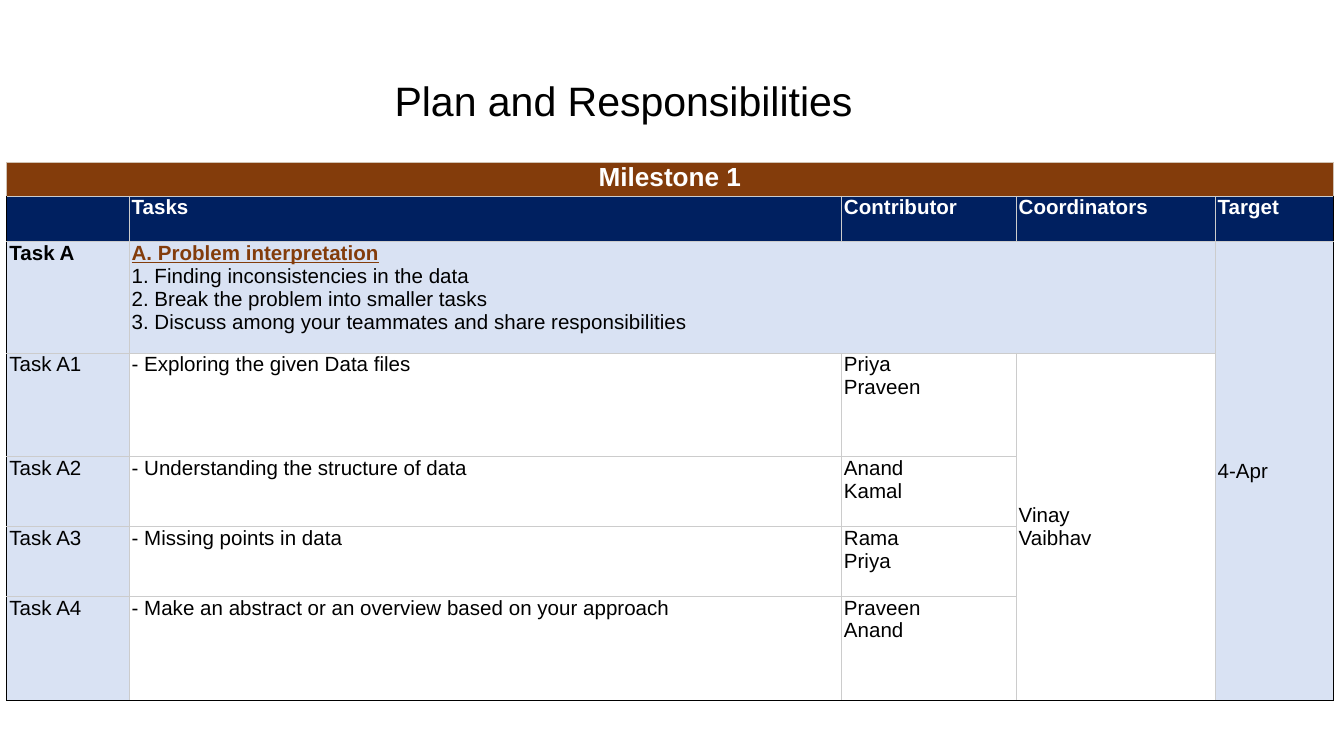
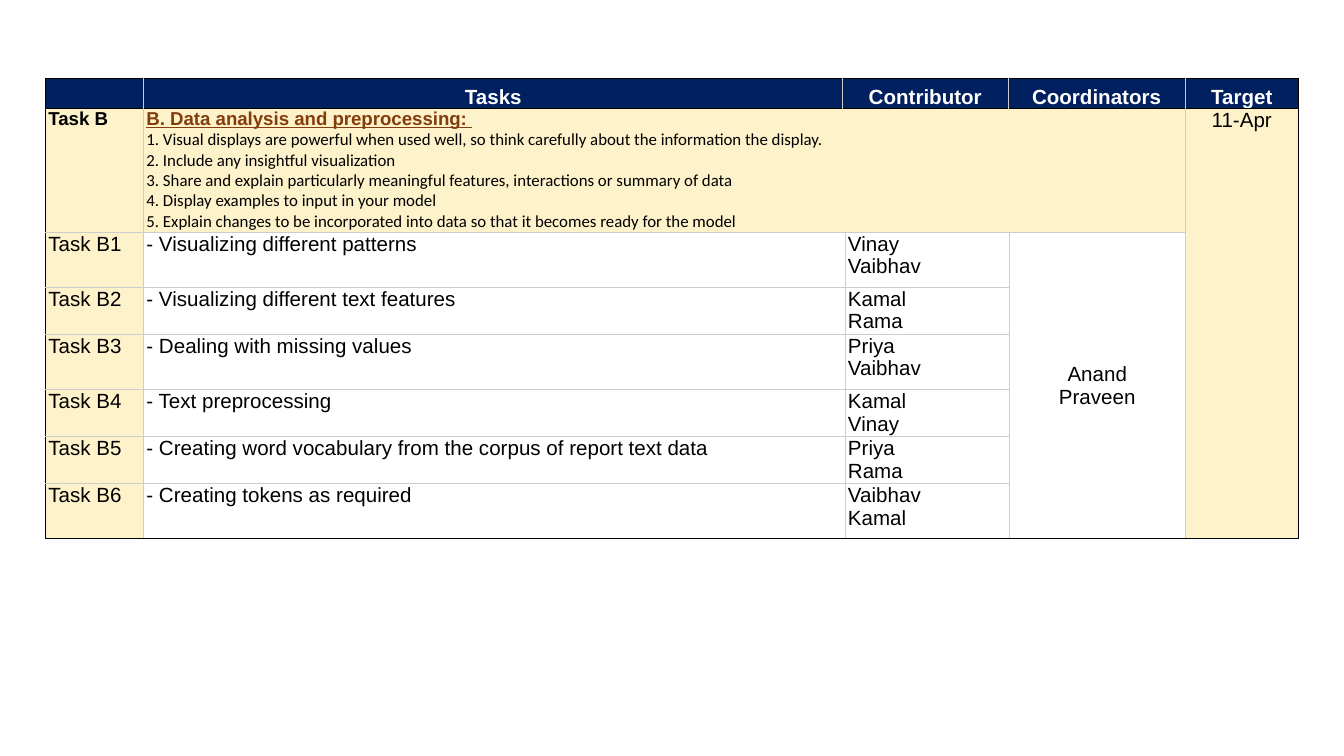
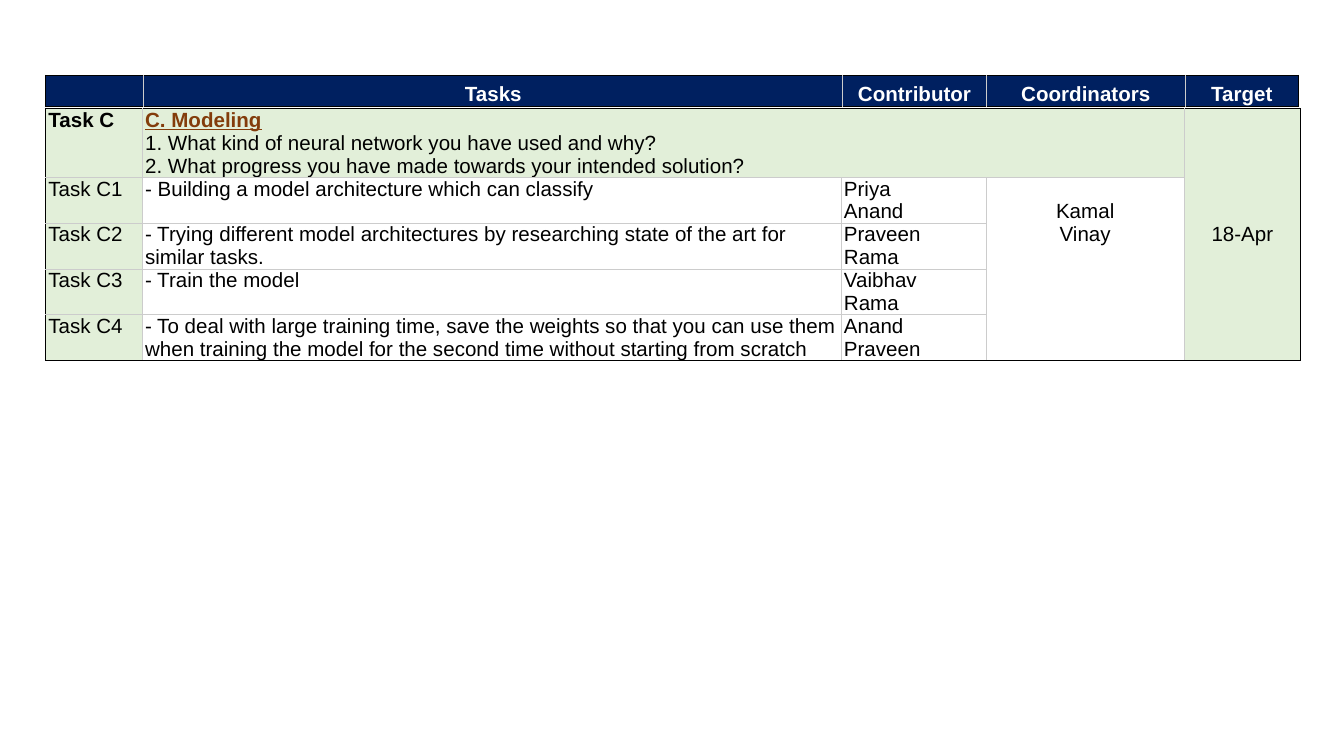
from copy import deepcopy

from lxml.etree import SubElement
from pptx import Presentation
from pptx.dml.color import RGBColor
from pptx.enum.text import MSO_ANCHOR, PP_ALIGN
from pptx.oxml.ns import qn
from pptx.util import Pt

PX = 9144  # 100 px to the inch
COLORS = {
    "black": "000000", "white": "FFFFFF", "grid": "CCCCCC", "tan": "D0C2B3",
    "brown": "833C0B", "navy": "002060",
    "blue": "D9E2F3", "yellow": "FEF2CB", "green": "E2EFD9",
}
HEADERS = ["", "Tasks", "Contributor", "Coordinators", "Target"]
LEFT, CENTER = PP_ALIGN.LEFT, PP_ALIGN.CENTER
TOP, MIDDLE, BOTTOM = MSO_ANCHOR.TOP, MSO_ANCHOR.MIDDLE, MSO_ANCHOR.BOTTOM

MILESTONES = [
    {
        "title": "Plan and Responsibilities", "banner": "Milestone 1",
        "left": 5, "top": 121, "columns": [91, 530, 130, 148, 88],
        "rows": [25, 34, 83, 77, 52, 52, 77],
        "letter": "A", "fill": "blue", "heading": "A. Problem interpretation",
        "points": [
            "1. Finding inconsistencies in the data",
            "2. Break the problem into smaller tasks",
            "3. Discuss among your teammates and share responsibilities",
        ],
        "heading_size": 11, "point_font": ("Arial", 11),
        "tasks": [
            ("- Exploring the given Data files", "Priya\nPraveen"),
            ("- Understanding the structure of data", "Anand\nKamal"),
            ("- Missing points in data", "Rama\nPriya"),
            ("- Make an abstract or an overview based on your approach", "Praveen\nAnand"),
        ],
        "coordinators": "Vinay\nVaibhav", "coordinator_anchor": MIDDLE,
        "target": "4-Apr", "target_anchor": MIDDLE, "alignment": LEFT,
    },
    {
        "left": 34, "top": 81, "columns": [73, 522, 122, 131, 84],
        "rows": [92, 41, 35, 41, 35, 35, 41],
        "header_top": 58, "header_columns": [73, 520, 123, 132, 84],
        "letter": "B", "fill": "yellow", "heading": "B. Data analysis and preprocessing: ",
        "points": [
            "1. Visual displays are powerful when used well, so think carefully about the information the display.",
            "2. Include any insightful visualization",
            "3. Share and explain particularly meaningful features, interactions or summary of data",
            "4. Display examples to input in your model",
            "5. Explain changes to be incorporated into data so that it becomes ready for the model",
        ],
        "heading_size": 10, "point_font": ("Calibri", 9),
        "tasks": [
            ("- Visualizing different patterns", "Vinay\nVaibhav"),
            ("- Visualizing different text features", "Kamal\nRama"),
            ("- Dealing with missing values", "Priya\nVaibhav"),
            ("- Text preprocessing", "Kamal\nVinay"),
            ("- Creating word vocabulary from the corpus of report text data", "Priya\nRama"),
            ("- Creating tokens as required", "Vaibhav\nKamal"),
        ],
        "coordinators": "Anand\nPraveen", "coordinator_anchor": MIDDLE,
        "target": "11-Apr", "target_anchor": TOP, "alignment": CENTER,
    },
    {
        "left": 34, "top": 81, "columns": [72, 520, 108, 147, 87],
        "rows": [51, 34, 34, 34, 34],
        "header_top": 56, "header_columns": [73, 520, 107, 148, 84],
        "letter": "C", "fill": "green", "heading": "C. Modeling",
        "points": [
            "1. What kind of neural network you have used and why?",
            "2. What progress you have made towards your intended solution?",
        ],
        "heading_size": 11, "point_font": ("Arial", 11),
        "tasks": [
            ("- Building a model architecture which can classify", "Priya\nAnand"),
            ("- Trying different model architectures by researching state of the art for "
             "similar tasks.", "Praveen\nRama"),
            ("- Train the model", "Vaibhav\nRama"),
            ("- To deal with large training time, save the weights so that you can use them "
             "when training the model for the second time without starting from scratch",
             "Anand\nPraveen"),
        ],
        "coordinators": "Kamal\nVinay", "coordinator_anchor": TOP, "coordinator_margin": 17,
        "target": "18-Apr", "target_anchor": MIDDLE, "alignment": CENTER,
    },
]


def add_grid(slide, left, top, columns, rows, merges=(), first_edge="black"):
    """Add an unstyled table with grey inner lines and a dark outer edge."""
    table = slide.shapes.add_table(
        len(rows), len(columns), left * PX, top * PX, sum(columns) * PX, sum(rows) * PX
    ).table
    table.first_row = table.horz_banding = False
    for column, width in zip(table.columns, columns):
        column.width = width * PX
    for row, height in zip(table.rows, rows):
        row.height = height * PX
    for first, last in merges:
        table.cell(*first).merge(table.cell(*last))

    for row in range(len(rows)):
        for column in range(len(columns)):
            cell = table.cell(row, column)
            cell.margin_left = cell.margin_right = 2 * PX
            cell.margin_top = cell.margin_bottom = 0
            paragraph = cell.text_frame.paragraphs[0]
            paragraph._p.get_or_add_endParaRPr().set("sz", "1100")
            if cell.is_spanned:
                continue
            edge = first_edge if row == 0 else "black"
            sides = {
                "lnL": edge if column == 0 else "grid",
                "lnR": edge if column + cell.span_width == len(columns) else "grid",
                "lnT": edge if row == 0 else "grid",
                "lnB": "black" if row + cell.span_height == len(rows) else "grid",
            }
            properties = cell._tc.get_or_add_tcPr()
            for side, color in sides.items():
                line = SubElement(properties, qn(f"a:{side}"), w=str(Pt(0.5)))
                fill = SubElement(line, qn("a:solidFill"))
                SubElement(fill, qn("a:srgbClr"), val=COLORS[color])
            cell.fill.background()
    return table


def write_cell(cell, text, fill=None, color="black", size=11, bold=False,
               alignment=LEFT, anchor=TOP):
    if fill:
        cell.fill.solid()
        cell.fill.fore_color.rgb = RGBColor.from_string(COLORS[fill])
    cell.vertical_anchor = anchor
    paragraph = cell.text_frame.paragraphs[0]
    paragraph.alignment = alignment
    paragraph.text = text
    for run in paragraph.runs:
        run.font.name = "Arial"
        run.font.size = Pt(size)
        run.font.bold = bold
        run.font.color.rgb = RGBColor.from_string(COLORS[color])
    # Line breaks take the text size, so that they do not stretch the lines
    for line_break in paragraph._p.findall(qn("a:br")):
        line_break.append(deepcopy(paragraph.runs[0].font._element))
    return paragraph


presentation = Presentation()
presentation.slide_width = 1000 * PX
presentation.slide_height = presentation.slide_width * 9 // 16
title_only, blank = presentation.slide_layouts[5], presentation.slide_layouts[6]

for milestone in MILESTONES:
    has_title = "title" in milestone
    slide = presentation.slides.add_slide(title_only if has_title else blank)
    if has_title:
        title = slide.shapes.title
        title.left, title.top, title.width, title.height = 150 * PX, 51 * PX, 628 * PX, 47 * PX
        title.text_frame.text = milestone["title"]
        paragraph = title.text_frame.paragraphs[0]
        paragraph.alignment = CENTER
        font = paragraph.runs[0].font
        font.name, font.size = "Arial", Pt(22)
        font.color.rgb = RGBColor.from_string(COLORS["black"])

    # The first table carries its banner and headers; the others have a header table
    start = 2 if has_title else 0
    last = len(milestone["rows"]) - 1
    merges = [
        ((start, 1), (start, 3)),
        ((start + 1, 3), (last, 3)),
        ((start, 4), (last, 4)),
    ]
    if has_title:
        merges.append(((0, 0), (0, 4)))
    table = add_grid(slide, milestone["left"], milestone["top"], milestone["columns"],
                     milestone["rows"], merges, "tan" if has_title else "black")

    if has_title:
        write_cell(table.cell(0, 0), milestone["banner"], "brown", "white", 14, True, CENTER)
        header_cells = table.rows[1].cells
    else:
        header = add_grid(slide, milestone["left"], milestone["header_top"],
                          milestone["header_columns"], [23])
        header_cells = header.rows[0].cells
    for cell, text in zip(header_cells, HEADERS):
        write_cell(cell, text, "navy", "white", bold=True, alignment=milestone["alignment"],
                   anchor=TOP if has_title else BOTTOM)

    letter, fill = milestone["letter"], milestone["fill"]
    write_cell(table.cell(start, 0), f"Task {letter}", fill,
               size=milestone["heading_size"], bold=True)
    point_name, point_size = milestone["point_font"]
    summary = "\n".join([milestone["heading"], *milestone["points"]])
    paragraph = write_cell(table.cell(start, 1), summary, fill, size=point_size)
    for run in paragraph.runs:
        run.font.name = point_name
    heading_font = paragraph.runs[0].font
    heading_font.name, heading_font.size = "Arial", Pt(milestone["heading_size"])
    heading_font.bold = heading_font.underline = True
    heading_font.color.rgb = RGBColor.from_string(COLORS["brown"])

    for number, (task, contributors) in enumerate(milestone["tasks"], 1):
        row = start + number
        write_cell(table.cell(row, 0), f"Task {letter}{number}", fill)
        write_cell(table.cell(row, 1), task)
        write_cell(table.cell(row, 2), contributors)

    coordinator_cell = table.cell(start + 1, 3)
    write_cell(coordinator_cell, milestone["coordinators"],
               alignment=milestone["alignment"], anchor=milestone["coordinator_anchor"])
    coordinator_cell.margin_top = milestone.get("coordinator_margin", 0) * PX
    write_cell(table.cell(start, 4), milestone["target"], fill,
               alignment=milestone["alignment"], anchor=milestone["target_anchor"])

presentation.save("out.pptx")
